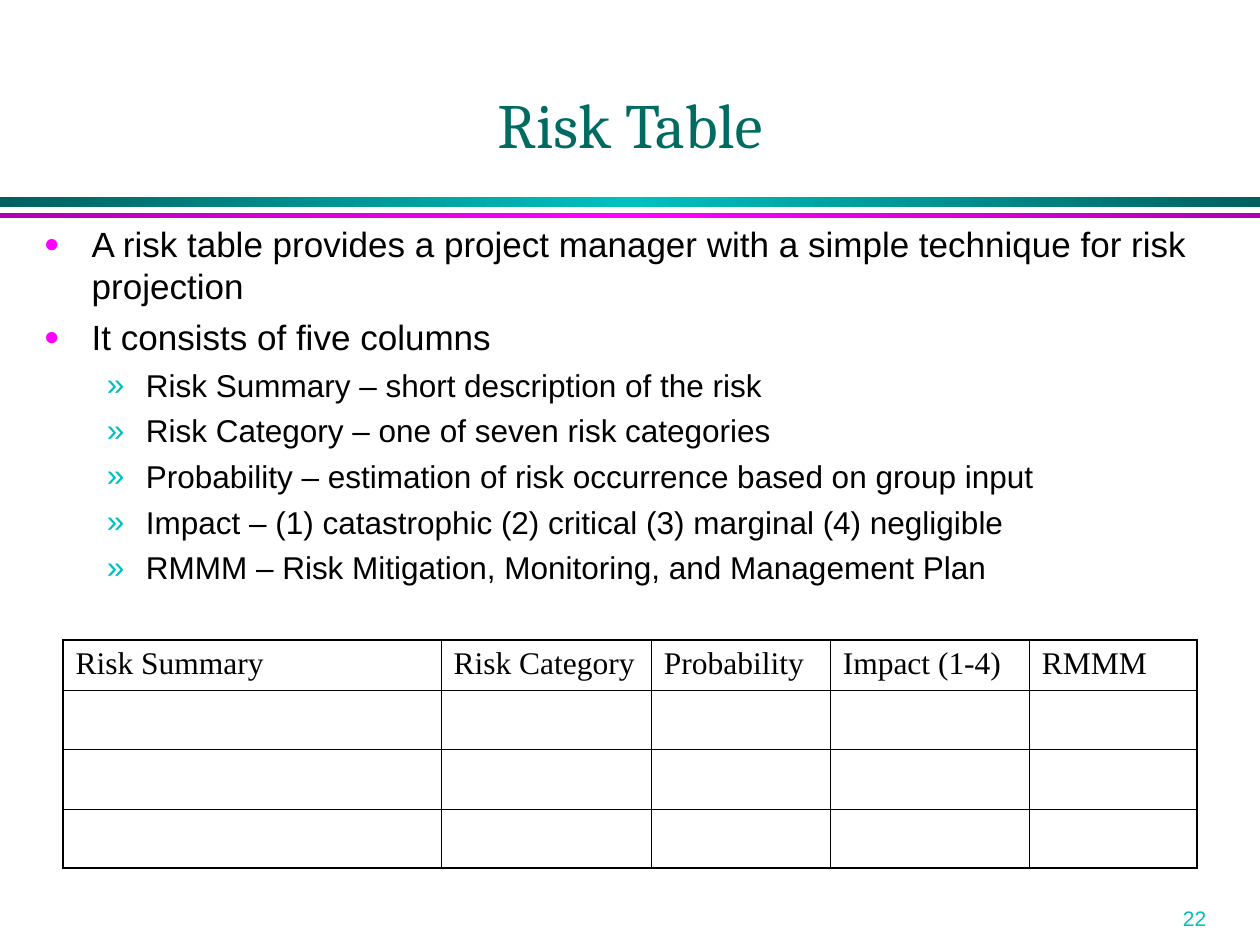
from copy import deepcopy

from lxml import etree
from pptx import Presentation
from pptx.dml.color import RGBColor
from pptx.enum.shapes import MSO_SHAPE
from pptx.enum.text import MSO_ANCHOR, PP_ALIGN
from pptx.oxml.ns import qn
from pptx.util import Inches, Pt

RECTANGLE = MSO_SHAPE.RECTANGLE
TOP, BOTTOM = MSO_ANCHOR.TOP, MSO_ANCHOR.BOTTOM
LEFT, CENTER = PP_ALIGN.LEFT, PP_ALIGN.CENTER

WIDTH, HEIGHT = 10, 7.5
BLACK, TEAL, MAGENTA, DARK_GREEN = "000000", "00C0C0", "FF00FF", "006B61"
THIN, THICK = 0.45, 1.08

# Bullet levels: text indent, hanging indent, size, space before, mark, colour, mark size
LEVELS = [
    (0.38, 0.38, 20, 5, "●", MAGENTA, 75),
    (0.81, 0.31, 18, 4.5, "»", TEAL, 100),
]
BULLETS = [
    (0, "A risk table provides a project manager with a simple technique for risk projection"),
    (0, "It consists of five columns"),
    (1, "Risk Summary – short description of the risk"),
    (1, "Risk Category – one of seven risk categories"),
    (1, "Probability – estimation of risk occurrence based on group input"),
    (1, "Impact – (1) catastrophic (2) critical (3) marginal (4) negligible"),
    (1, "RMMM – Risk Mitigation, Monitoring, and Management Plan"),
]
COLUMNS = [
    ("Risk Summary", 3),
    ("Risk Category", 1.67),
    ("Probability", 1.42),
    ("Impact (1-4)", 1.58),
    ("RMMM", 1.33),
]
ROW_HEIGHTS = [0.4, 0.47, 0.47, 0.47]


def rgb(color):
    return RGBColor.from_string(color)


def add_run(paragraph, text, size, font, color):
    run = paragraph.add_run()
    run.text = text
    run.font.size = Pt(size)
    run.font.name = font
    run.font.color.rgb = rgb(color)


def add_text_frame(slide, left, top, width, height, anchor=TOP):
    box = slide.shapes.add_textbox(Inches(left), Inches(top), Inches(width), Inches(height))
    frame = box.text_frame
    frame.word_wrap = True
    frame.vertical_anchor = anchor
    return frame


def add_label(slide, bounds, text, size, font, color, align=LEFT, anchor=TOP):
    paragraph = add_text_frame(slide, *bounds, anchor=anchor).paragraphs[0]
    paragraph.alignment = align
    add_run(paragraph, text, size, font, color)


def add_gradient_bar(slide, top, height, edge_color, middle_color):
    bar = slide.shapes.add_shape(RECTANGLE, 0, Inches(top), Inches(WIDTH), Inches(height))
    bar.shadow.inherit = False
    bar.line.fill.background()
    bar.fill.gradient()
    bar.fill.gradient_angle = 0
    for stop, color in zip(bar.fill.gradient_stops, (edge_color, middle_color)):
        stop.color.rgb = rgb(color)
    # Mirror the first stop at the far end
    stops = bar._element.spPr.find(".//" + qn("a:gsLst"))
    stops.append(deepcopy(stops[0]))
    for stop, position in zip(stops, (0, 50, 100)):
        stop.set("pos", str(position * 1000))


def add_bullets(slide, bounds, items):
    frame = add_text_frame(slide, *bounds)
    for index, (level, text) in enumerate(items):
        paragraph = frame.add_paragraph() if index else frame.paragraphs[0]
        indent, hanging, size, space, mark, color, mark_size = LEVELS[level]
        paragraph.level = level
        paragraph.space_before = Pt(space)
        properties = paragraph._p.get_or_add_pPr()
        properties.set("marL", str(Inches(indent)))
        properties.set("indent", str(-Inches(hanging)))
        bullet_color = etree.SubElement(properties, qn("a:buClr"))
        etree.SubElement(bullet_color, qn("a:srgbClr"), val=color)
        etree.SubElement(properties, qn("a:buSzPct"), val=str(mark_size * 1000))
        etree.SubElement(properties, qn("a:buFont"), typeface="Arial")
        etree.SubElement(properties, qn("a:buChar"), char=mark)
        add_run(paragraph, text, size, "Arial", BLACK)


def set_borders(cell, outer_sides):
    """Draw outer_sides (left, right, top, bottom flags) thick, the rest thin."""
    properties = cell._tc.get_or_add_tcPr()
    for index, (side, outer) in enumerate(zip("LRTB", outer_sides)):
        line = etree.Element(qn("a:ln" + side), w=str(Pt(THICK if outer else THIN)))
        fill = etree.SubElement(line, qn("a:solidFill"))
        etree.SubElement(fill, qn("a:srgbClr"), val=BLACK)
        properties.insert(index, line)


def add_risk_table(slide, left, top):
    row_count, column_count = len(ROW_HEIGHTS), len(COLUMNS)
    width = sum(column_width for _, column_width in COLUMNS)
    table = slide.shapes.add_table(
        row_count, column_count, Inches(left), Inches(top),
        Inches(width), Inches(sum(ROW_HEIGHTS))).table
    table.first_row = table.horz_banding = False
    for row, height in zip(table.rows, ROW_HEIGHTS):
        row.height = Inches(height)
    for c, (heading, column_width) in enumerate(COLUMNS):
        table.columns[c].width = Inches(column_width)
        for r in range(row_count):
            cell = table.cell(r, c)
            cell.fill.background()
            set_borders(cell, (c == 0, c == column_count - 1, r == 0, r == row_count - 1))
        paragraph = table.cell(0, c).text_frame.paragraphs[0]
        paragraph.space_before = Pt(4.5)
        add_run(paragraph, heading, 18, "Times New Roman", BLACK)


def main():
    presentation = Presentation()
    presentation.slide_width, presentation.slide_height = Inches(WIDTH), Inches(HEIGHT)
    slide = presentation.slides.add_slide(presentation.slide_layouts[6])

    # Divider bars and page number
    add_gradient_bar(slide, 1.56, 0.08, "006060", TEAL)
    add_gradient_bar(slide, 1.69, 0.04, "B200B2", MAGENTA)
    add_label(slide, (9.29, 7.14, 0.96, 0.3), "22", 12, "Arial", TEAL)

    # Title, bullets and table
    add_label(slide, (0.75, 0.08, 8.5, 1.25), "Risk Table", 36, "Cambria",
              DARK_GREEN, CENTER, BOTTOM)
    add_bullets(slide, (0.25, 1.72, 9.5, 3.53), BULLETS)
    add_risk_table(slide, 0.5, 5.08)

    presentation.save("out.pptx")


if __name__ == "__main__":
    main()
